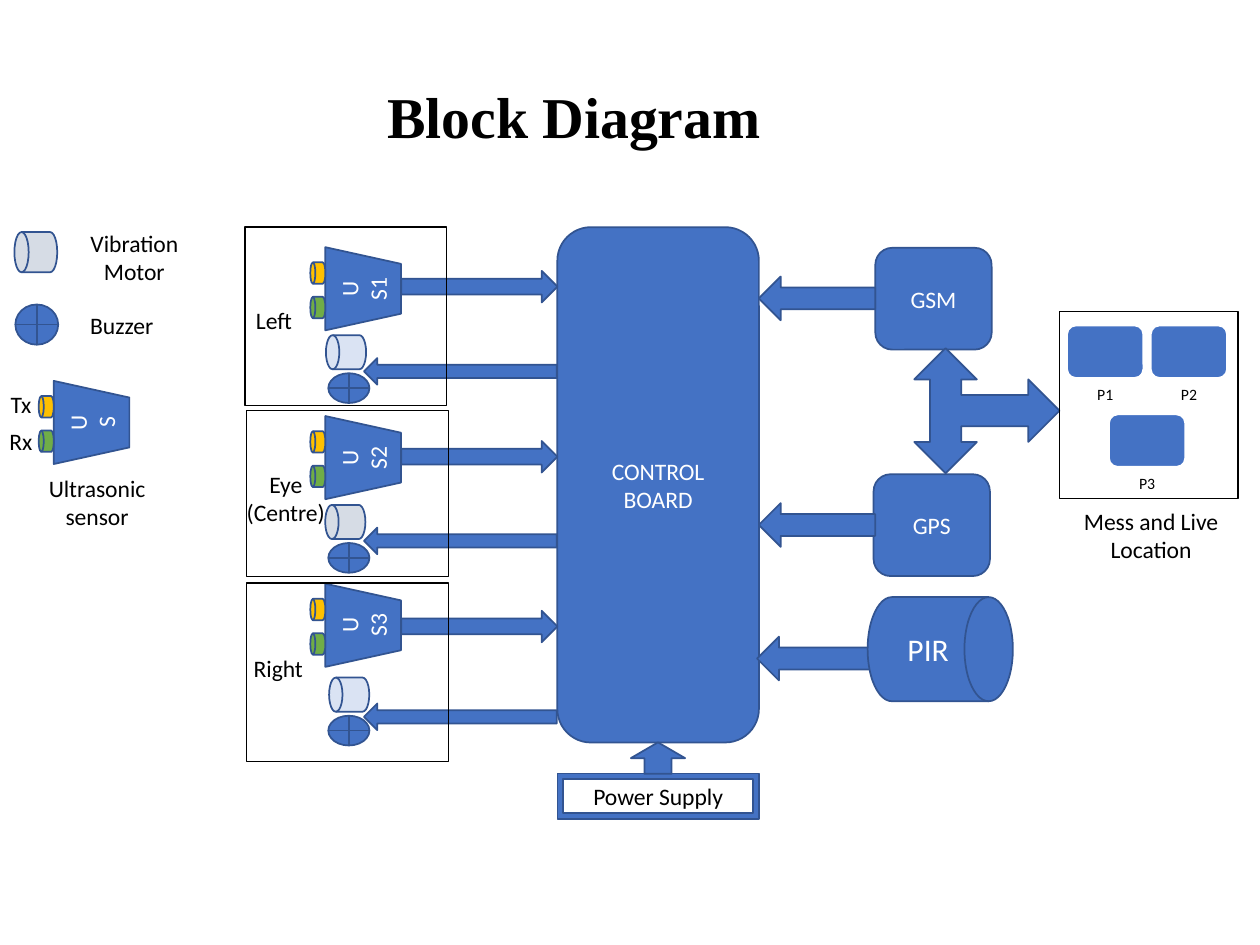
from pptx import Presentation
from pptx.dml.color import RGBColor
from pptx.enum.shapes import MSO_SHAPE as Kind
from pptx.enum.text import MSO_ANCHOR as Anchor, MSO_AUTO_SIZE as Fit, PP_ALIGN as Align
from pptx.util import Pt

BLUE, EDGE, WHITE, BLACK = "4472C4", "325491", "FFFFFF", "000000"
AMBER, GREEN, PALE, GREY = "FFC000", "70AD47", "DAE3F3", "D6DCE5"
DRUM = Kind.FLOWCHART_DIRECT_ACCESS_STORAGE
ARROW, ROUND = Kind.RIGHT_ARROW, Kind.ROUNDED_RECTANGLE

prs = Presentation()
prs.slide_width, prs.slide_height = Pt(720), Pt(540)
slide = prs.slides.add_slide(prs.slide_layouts[5])


def add(kind, box, text="", fill=BLUE, line=EDGE, rot=0, size=13.5, ink=WHITE, home=slide.shapes):
    """Add a shape, or a black-text box when kind is None."""
    area = [Pt(v) for v in box]
    if kind is None:
        item, ink = home.add_textbox(*area), BLACK
    else:
        item = home.add_shape(kind, *area)
        item.shadow.inherit = False
        item.rotation = rot
        item.line.color.rgb = RGBColor.from_string(line)
        item.line.width = Pt(1 if fill else 0.75)
        if fill:
            item.fill.solid()
            item.fill.fore_color.rgb = RGBColor.from_string(fill)
        else:
            item.fill.background()
    if text:
        frame = item.text_frame
        frame.word_wrap = True
        frame.vertical_anchor = Anchor.MIDDLE
        for i, part in enumerate(text.split("\n")):
            para = frame.add_paragraph() if i else frame.paragraphs[0]
            para.alignment = Align.CENTER
            run = para.add_run()
            run.text = part
            run.font.name, run.font.size = "Calibri", Pt(size)
            run.font.color.rgb = RGBColor.from_string(ink)
    return item


def sensor(x, y, text):
    """Add an ultrasonic sensor with its transmitter and receiver."""
    add(Kind.FLOWCHART_MANUAL_OPERATION, (x, y, 47.5, 43.2), text, rot=270)
    for down, fill in ((6.5, AMBER), (26.2, GREEN)):
        add(DRUM, (x - 6.5, y + down, 8.6, 12.2), fill=fill, rot=180)


# Title, set left of centre by a wide right inset
title = slide.shapes.title
title.left, title.top, title.width, title.height = Pt(109.5), Pt(39.6), Pt(486), Pt(49.7)
frame = title.text_frame
frame.auto_size, frame.word_wrap = Fit.NONE, True
frame.vertical_anchor = Anchor.BOTTOM
frame.margin_left, frame.margin_right = Pt(5), Pt(54)
frame.margin_top = frame.margin_bottom = Pt(3)
para = frame.paragraphs[0]
para.alignment, para.line_spacing = Align.CENTER, 0.9
run = para.add_run()
run.text = "Block Diagram"
run.font.name, run.font.size, run.font.bold = "Times New Roman", Pt(33), True
run.font.color.rgb = RGBColor.from_string(BLACK)

# Board and power supply
add(Kind.FLOWCHART_ALTERNATE_PROCESS, (318.5, 129.8, 115.2, 294.5), "CONTROL BOARD")
add(Kind.FRAME, (318.6, 442, 115, 26), "Power Supply", ink=BLACK)
add(Kind.DOWN_ARROW, (360.5, 424.2, 31, 18), rot=180)

# Sensor panels: label, its box, panel left, top and height, sensor, out, motor x and y, back
panels = [
    ("Left", (129.5, 156, 54, 54), 140, 129.8, 102, 143.4, 154.8, 186.2, 191.5, 204.6),
    ("Eye\n(Centre)", (133.4, 257.5, 59.8, 54), 141, 234.6, 95, 239.9, 252, 185.8, 288.5, 301.5),
    ("Right", (133.5, 355.7, 51, 52.6), 141, 333.2, 102, 335.7, 349, 188, 387.2, 402),
]
for i, (name, spot, left, top, high, eye, out, x, y, back) in enumerate(panels, 1):
    sensor(183.8, eye, f"US{i}")
    add(DRUM, (x, y, 23, 19.5), fill=GREY if i == 2 else PALE, rot=180)
    add(ARROW, (229.3, out, 89.3, 18))
    add(ARROW, (208, back, 110.2, 15.2), rot=180)
    add(Kind.FLOWCHART_OR, (187.6, y + 21.8, 23.5, 17))
    add(Kind.RECTANGLE, (left, top, 115.2, high), fill=None, line=BLACK)
    add(None, spot, name)

# Modules on the right and their arrows to the board
for name, x, y in (("GSM", 500.2, 141.6), ("GPS", 499.2, 271)):
    add(ROUND, (x, y, 66.5, 58.2), name)
for x, y in ((433.6, 158), (433.6, 287.5), (432.6, 363.8)):
    add(ARROW, (x, y, 66.5, 25), rot=180)
add(DRUM, (495.8, 341.2, 83, 59.5), "PIR", size=18)
add(Kind.LEFT_RIGHT_UP_ARROW, (528.2, 193.2, 71.5, 83), rot=90)

# Phones
group = slide.shapes.add_group_shape().shapes
for name, x, y in (("P1", 609.8, 186), ("P2", 657.6, 186), ("P3", 633.7, 236.8)):
    add(ROUND, (x, y, 43.6, 30), line=WHITE, home=group)
    frame = add(None, (x, y + 30, 43.6, 16), name, size=9, home=group).text_frame
    frame.vertical_anchor = Anchor.TOP
    frame.margin_left = frame.margin_right = frame.margin_top = Pt(5)
    frame.margin_bottom = 0
    frame.paragraphs[0].line_spacing = 0.9
add(Kind.RECTANGLE, (605.5, 178, 102, 106.8), fill=None, line=BLACK)
add(None, (595.5, 278.8, 124.5, 54), "Mess and Live Location")

# Legend
add(DRUM, (8.2, 132.6, 24.5, 23), fill=GREY, rot=180)
add(Kind.FLOWCHART_OR, (8.8, 174, 24.5, 23))
sensor(28.6, 219.8, "US")
for name, box in (
    ("Vibration Motor", (43.8, 137.8, 66, 18)),
    ("Buzzer", (36.6, 176.5, 66, 18)),
    ("Tx", (-21, 222, 66, 18)),
    ("Rx", (-21, 243, 66, 18)),
    ("Ultrasonic\nsensor", (16.2, 274.5, 78.5, 24.5)),
):
    add(None, box, name)

prs.save("out.pptx")
